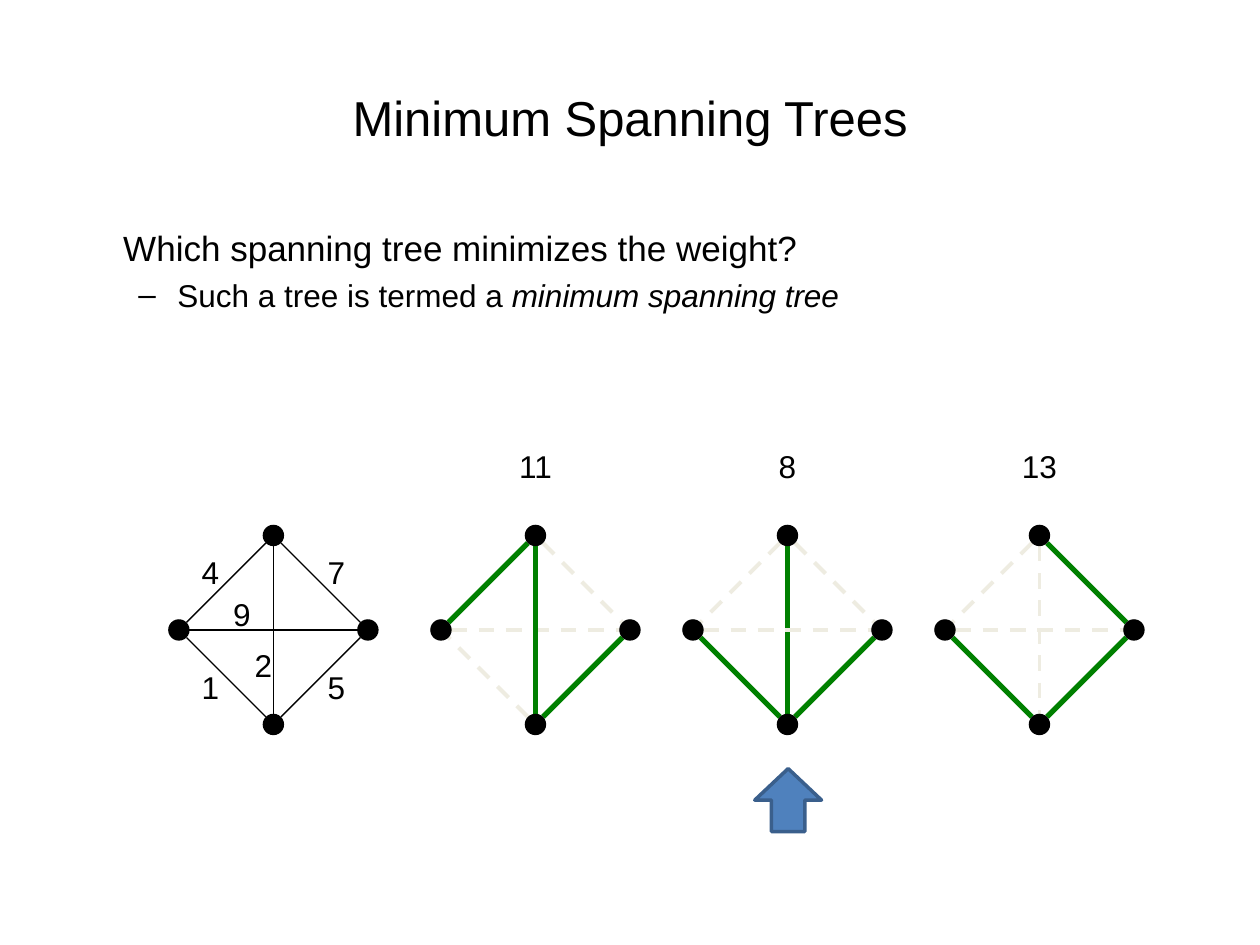
from lxml import etree
from pptx import Presentation
from pptx.dml.color import RGBColor
from pptx.enum import dml, shapes, text
from pptx.oxml import ns
from pptx.util import Inches, Pt

BLACK = RGBColor(0x00, 0x00, 0x00)
GREEN = RGBColor(0x00, 0x80, 0x00)
PALE = RGBColor(0xEE, 0xEC, 0xE1)
BLUE = RGBColor(0x4F, 0x81, 0xBD)
NAVY = RGBColor(0x3A, 0x5F, 0x8C)

NODE_SIZE = 0.17
RADIUS = 0.75
LABEL_HEIGHT = 0.4
NODES = {"top": (0, -1), "bottom": (0, 1), "right": (1, 0), "left": (-1, 0)}
EDGES = {
    4: ("top", "left"),
    7: ("top", "right"),
    5: ("right", "bottom"),
    1: ("bottom", "left"),
    9: ("left", "right"),
    2: ("top", "bottom"),
}
WEIGHT_PLACES = {
    4: (-0.5, -0.46),
    7: (0.5, -0.46),
    1: (-0.5, 0.45),
    5: (0.5, 0.45),
    9: (-0.25, -0.13),
    2: (-0.08, 0.28),
}
PLAIN = {"color": BLACK, "width": 0.75, "dash": None}
CHOSEN = {"color": GREEN, "width": 3, "dash": None}
SPARE = {"color": PALE, "width": 2.25, "dash": dml.MSO_LINE.DASH}
TREES = (
    (4.25, {4, 5, 2}, (7, 1, 9, 4, 5, 2)),
    (6.25, {5, 2, 1}, (7, 5, 2, 4, 1, 9)),
    (8.25, {7, 5, 1}, (4, 9, 2, 7, 5, 1)),
)


def add_span(para, words, size, **formats):
    """Add a run of text in the slide's font."""
    span = para.add_run()
    span.text = words
    span.font.color.rgb = BLACK
    for name, value in {"name": "Arial", "size": Pt(size), **formats}.items():
        setattr(span.font, name, value)


def add_frame(parent, left, top, width, height, **formats):
    """Add a text box and return its text frame."""
    box = parent.add_textbox(Inches(left), Inches(top), Inches(width), Inches(height))
    for name, value in {"word_wrap": True, **formats}.items():
        setattr(box.text_frame, name, value)
    return box.text_frame


def add_title(page, left, top, width, height):
    """Place the centred title."""
    frame = add_frame(page.shapes, left, top, width, height,
                      vertical_anchor=text.MSO_ANCHOR.MIDDLE)
    para = frame.paragraphs[0]
    para.alignment = text.PP_ALIGN.CENTER
    add_span(para, "Minimum Spanning Trees", 28)


def add_question(page, left, top, width, height):
    """Place the question and its dashed sub-point."""
    frame = add_frame(page.shapes, left, top, width, height)
    question, point = frame.paragraphs[0], frame.add_paragraph()
    question._p.get_or_add_pPr().set("marL", str(Inches(0.38)))
    add_span(question, "Which spanning tree minimizes the weight?", 20)
    settings = point._p.get_or_add_pPr()
    settings.set("marL", str(Inches(0.81)))
    settings.set("indent", str(Inches(-0.31)))
    etree.SubElement(settings, ns.qn("a:buFont")).set("typeface", "Arial")
    etree.SubElement(settings, ns.qn("a:buChar")).set("char", "–")
    point.space_before = Pt(4)
    add_span(point, "Such a tree is termed a ", 18)
    add_span(point, "minimum spanning tree", 18, italic=True)


def add_number(parent, number, center_x, center_y):
    """Place a number centred on a point."""
    width = 0.34 if number < 10 else 0.5
    frame = add_frame(parent, center_x - width / 2, center_y - LABEL_HEIGHT / 2,
                      width, LABEL_HEIGHT, word_wrap=False)
    frame.auto_size = text.MSO_AUTO_SIZE.SHAPE_TO_FIT_TEXT
    para = frame.paragraphs[0]
    para.alignment = text.PP_ALIGN.CENTER
    add_span(para, str(number), 18)


def add_edge(parent, center_x, center_y, ends, style):
    """Draw an edge between the rims of two nodes."""
    (x1, y1), (x2, y2) = (NODES[end] for end in ends)
    straight = x1 == x2 or y1 == y2
    trim = 0.04 if straight else 0.06
    dx, dy = (x2 - x1) * trim, (y2 - y1) * trim
    line = parent.add_connector(
        shapes.MSO_CONNECTOR.STRAIGHT,
        Inches(center_x + x1 * RADIUS + dx), Inches(center_y + y1 * RADIUS + dy),
        Inches(center_x + x2 * RADIUS - dx), Inches(center_y + y2 * RADIUS - dy))
    line.line.color.rgb = style["color"]
    line.line.width = Pt(style["width"])
    line.line.dash_style = style["dash"]
    etree.SubElement(line._element.spPr, ns.qn("a:effectLst"))


def add_graph(page, center_x, center_y, order, styles):
    """Draw the four-node graph as a group and return its shapes."""
    parts = page.shapes.add_group_shape().shapes
    for weight in order:
        add_edge(parts, center_x, center_y, EDGES[weight], styles[weight])
    for x, y in NODES.values():
        node = parts.add_shape(
            shapes.MSO_SHAPE.OVAL,
            Inches(center_x + x * RADIUS - NODE_SIZE / 2),
            Inches(center_y + y * RADIUS - NODE_SIZE / 2),
            Inches(NODE_SIZE), Inches(NODE_SIZE))
        node.shadow.inherit = False
        node.fill.solid()
        node.fill.fore_color.rgb = BLACK
        node.line.fill.background()
    return parts


def add_weighted_graph(page, center_x, center_y):
    """Draw the graph with the weight of each edge."""
    parts = add_graph(page, center_x, center_y, EDGES, dict.fromkeys(EDGES, PLAIN))
    for weight, (dx, dy) in WEIGHT_PLACES.items():
        add_number(parts, weight, center_x + dx, center_y + dy)


def add_tree(page, center_x, center_y, chosen, order):
    """Draw a spanning tree with its total weight above."""
    styles = {weight: CHOSEN if weight in chosen else SPARE for weight in EDGES}
    add_graph(page, center_x, center_y, order, styles)
    add_number(page.shapes, sum(chosen), center_x, center_y - 1.3)


def add_pointer(page, left, top, width, height):
    """Place the arrow that points up at the lightest tree."""
    arrow = page.shapes.add_shape(shapes.MSO_SHAPE.DOWN_ARROW, Inches(left),
                                  Inches(top), Inches(width), Inches(height))
    arrow.rotation = 180
    arrow.shadow.inherit = False
    arrow.fill.solid()
    arrow.fill.fore_color.rgb = BLUE
    arrow.line.color.rgb = NAVY
    arrow.line.width = Pt(2)


def main():
    """Build and save the slide."""
    deck = Presentation()
    deck.slide_width, deck.slide_height = Inches(10), Inches(7.5)
    page = deck.slides.add_slide(deck.slide_layouts[6])
    add_title(page, 0.5, 0.3, 9, 1.25)
    add_question(page, 0.5, 1.75, 9, 4.95)
    add_weighted_graph(page, 2.17, 5)
    for center_x, chosen, order in TREES:
        add_tree(page, center_x, 5, chosen, order)
    add_pointer(page, 5.99, 6.1, 0.53, 0.5)
    deck.save("out.pptx")


if __name__ == "__main__":
    main()
